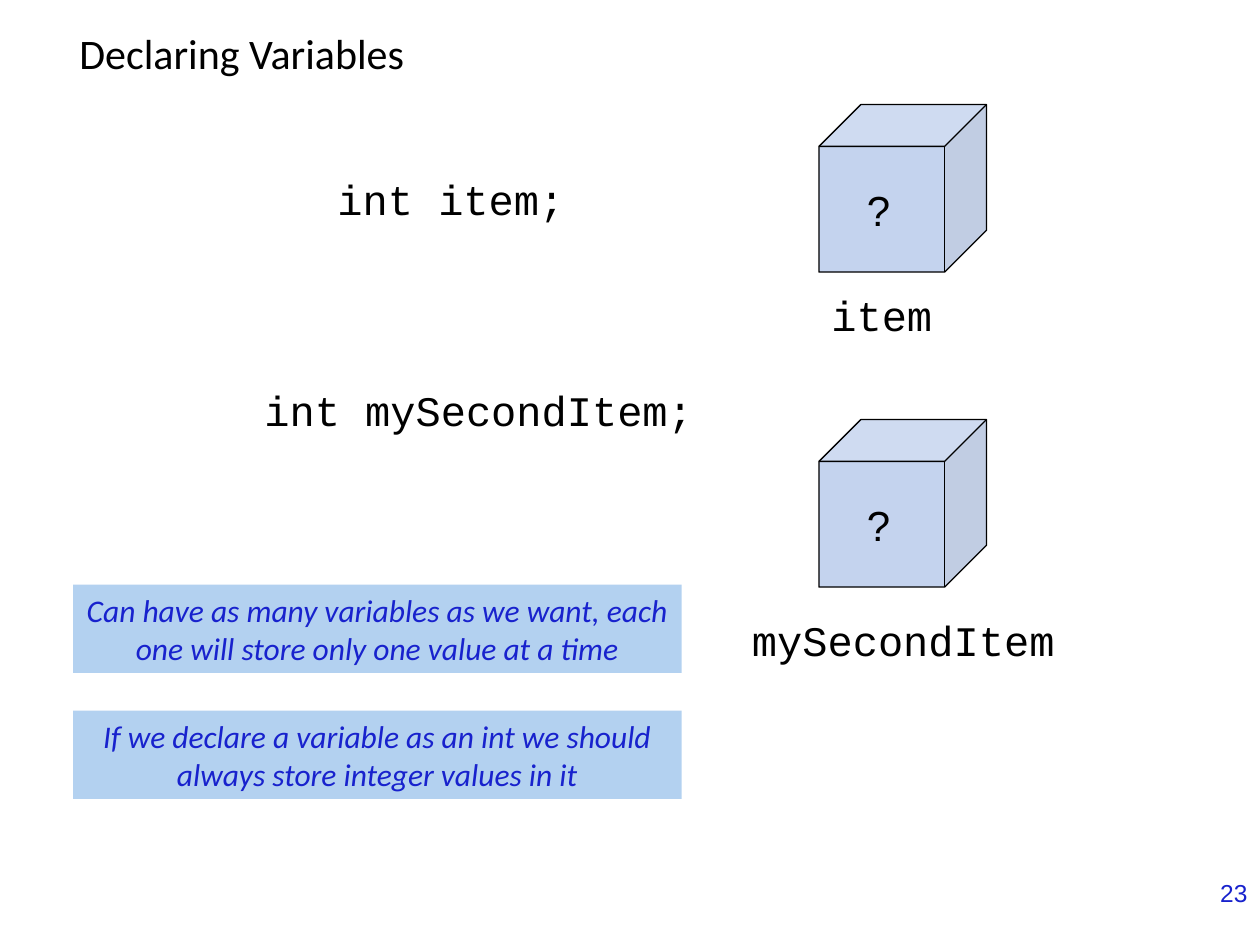
from pptx import Presentation
from pptx.dml.color import RGBColor as Rgb
from pptx.enum.shapes import MSO_SHAPE as Form
from pptx.enum.text import MSO_ANCHOR as Anchor, MSO_AUTO_SIZE as Auto, PP_ALIGN as Align
from pptx.oxml.ns import qn
from pptx.util import Inches, Pt
from lxml import etree

COLORS = {
    "ink": "000000",
    "cube": "3568C7",
    "note": "B3D1F0",
    "blue": "1822CD",
}


def tint(name):
    return Rgb.from_string(COLORS[name])


def write(shape, text, font="Calibri", size=24, color="ink", italic=False,
          align=Align.LEFT, anchor=Anchor.TOP, wrap=False, left=0.1):
    frame = shape.text_frame
    frame.auto_size = Auto.NONE
    frame.word_wrap = wrap
    frame.vertical_anchor = anchor
    frame.margin_left = Inches(left)
    frame.margin_right = Inches(0.1)
    frame.margin_top = frame.margin_bottom = Inches(0.05)
    par = frame.paragraphs[0]
    par.alignment = align
    run = par.add_run()
    run.text = text
    run.font.name = font
    run.font.size = Pt(size)
    run.font.italic = italic
    run.font.color.rgb = tint(color)


class Deck:
    code = "Courier New"
    sans = "Arial"

    def __init__(self):
        self.show = Presentation()
        self.show.slide_width = Inches(10)
        self.show.slide_height = Inches(7.5)
        self.slide = self.show.slides.add_slide(self.show.slide_layouts[5])

    def title(self, text, *box):
        shape = self.slide.shapes.title
        shape.left, shape.top, shape.width, shape.height = map(Inches, box)
        write(shape, text)

    def text(self, text, *box, **style):
        shape = self.slide.shapes.add_textbox(*map(Inches, box))
        write(shape, text, **style)

    def solid(self, form, color, *box):
        shape = self.slide.shapes.add_shape(form, *map(Inches, box))
        shape.shadow.inherit = False
        shape.fill.solid()
        shape.fill.fore_color.rgb = tint(color)
        return shape

    def cube(self, text, left, top, side=1.33):
        shape = self.solid(Form.CUBE, "cube", left, top, side, side)
        shape.adjustments[0] = 0.25
        shape.line.color.rgb = tint("ink")
        shape.line.width = Pt(0.75)
        color = shape.fill._xPr.find(qn("a:solidFill"))[0]
        etree.SubElement(color, qn("a:alpha"), val="29000")
        write(shape, text, font=self.sans, anchor=Anchor.MIDDLE, wrap=True, left=0.38)

    def note(self, text, top):
        shape = self.solid(Form.RECTANGLE, "note", 0.58, top, 4.83, 0.7)
        shape.line.fill.background()
        write(shape, text, size=18, color="blue", italic=True,
              align=Align.CENTER, wrap=True)


def main():
    deck = Deck()
    deck.title("Declaring Variables", 0.53, 0.17, 3.31, 0.5)
    for top in (0.83, 3.33):
        deck.cube("?", 6.5, top)
    for text, left, top, width in (
        ("int item;", 2.58, 1.33, 2),
        ("int mySecondItem;", 2, 3, 3.6),
        ("item", 6.5, 2.25, 1),
        ("mySecondItem", 5.87, 4.83, 2.6),
    ):
        deck.text(text, left, top, width, 0.5, font=deck.code)
    deck.note("Can have as many variables as we want, each one will store "
              "only one value at a time", 4.64)
    deck.note("If we declare a variable as an int we should always store "
              "integer values in it", 5.64)
    deck.text("23", 9.5, 6.92, 0.5, 0.58, font=deck.sans, size=14,
              color="blue", align=Align.RIGHT, wrap=True)
    deck.show.save("out.pptx")


if __name__ == "__main__":
    main()
